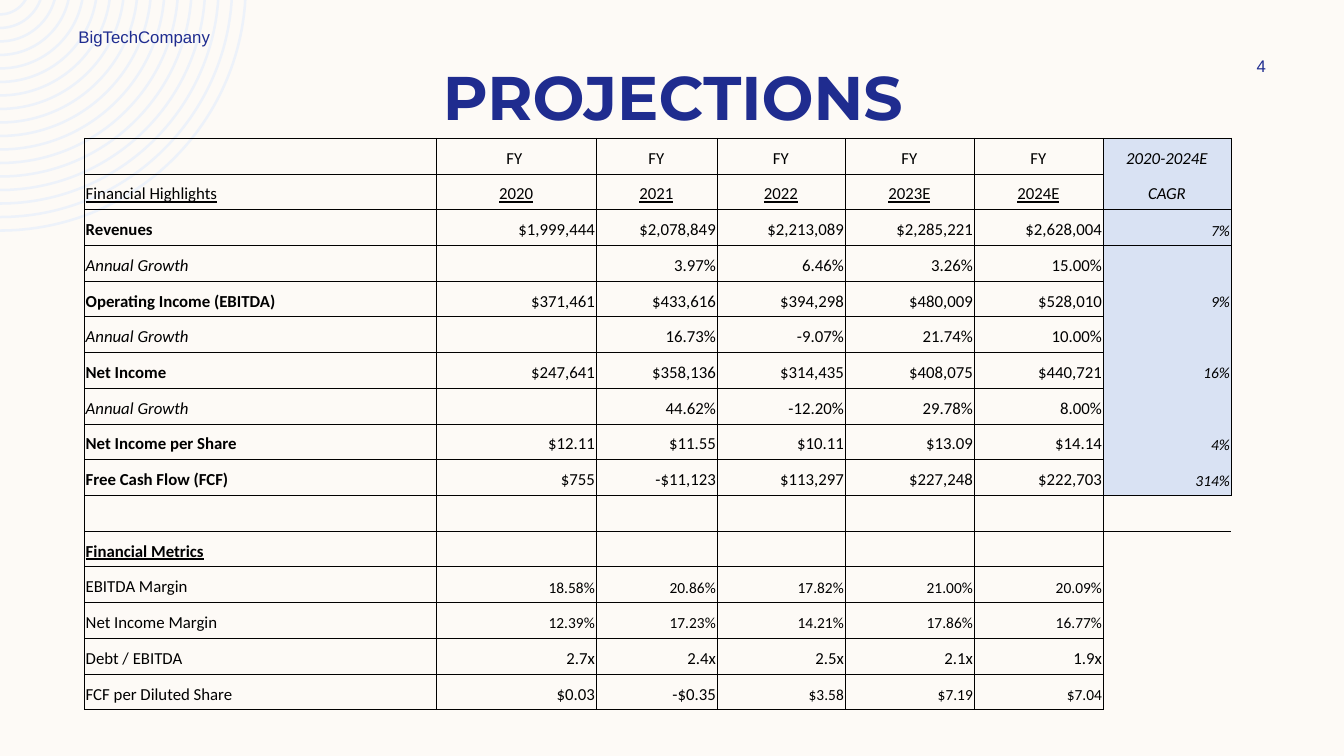
import math
from dataclasses import dataclass

from lxml import etree
from pptx import Presentation
from pptx.dml.color import RGBColor
from pptx.enum.text import MSO_ANCHOR, PP_ALIGN
from pptx.oxml.ns import qn
from pptx.util import Inches, Pt

LEFT, CENTER, RIGHT = PP_ALIGN.LEFT, PP_ALIGN.CENTER, PP_ALIGN.RIGHT
TOP, MIDDLE, BOTTOM = MSO_ANCHOR.TOP, MSO_ANCHOR.MIDDLE, MSO_ANCHOR.BOTTOM

CREAM, RING_BLUE, NAVY = "FDFAF6", "EDF2FA", "1F2C8F"
BLACK, CAGR_BLUE = "000000", "D9E2F3"
NO_STYLE = "{2D5ABB26-0587-4C30-8999-92F81FD0307C}"


@dataclass
class Label:
    text: str
    left: float
    top: float
    width: float
    height: float
    size: float
    font: str = "Arial"
    bold: bool = False
    align: PP_ALIGN = CENTER
    anchor: MSO_ANCHOR = MIDDLE


@dataclass
class Row:
    name: str
    values: tuple = ("",) * 5
    cagr: str = ""
    bold: bool = False
    italic: bool = False
    underline: bool = False
    align: PP_ALIGN = RIGHT
    sizes: tuple = (12,) * 5


LABELS = [
    Label("PROJECTIONS", 0.84, 0.54, 11.67, 0.84, 44, "Montserrat", True, anchor=TOP),
    Label("4", 11.97, 0.5, 1.08, 0.3, 12),
    Label("BigTechCompany", 0.68, 0.22, 3.5, 0.3, 12, align=LEFT),
]

SMALL = (11,) * 5
COLUMN_WIDTHS = [3.49, 1.58, 1.2, 1.27, 1.28, 1.28, 1.27]
TABLE_LEFT, TABLE_TOP, TABLE_HEIGHT = 0.84, 1.37, 5.67
ROWS = [
    Row("", ("FY ", "FY", "FY", "FY", "FY"), "2020-2024E", align=CENTER),
    Row("Financial Highlights", ("2020", "2021", "2022", "2023E", "2024E"), "CAGR",
        underline=True, align=CENTER),
    Row("Revenues", ("$1,999,444", "$2,078,849", "$2,213,089", "$2,285,221", "$2,628,004"),
        "7%", bold=True),
    Row("Annual Growth", ("", "3.97%", "6.46%", "3.26%", "15.00%"), italic=True),
    Row("Operating Income (EBITDA)",
        ("$371,461", "$433,616", "$394,298", "$480,009", "$528,010"), "9%", bold=True),
    Row("Annual Growth", ("", "16.73%", "-9.07%", "21.74%", "10.00%"), italic=True),
    Row("Net Income", ("$247,641", "$358,136", "$314,435", "$408,075", "$440,721"),
        "16%", bold=True),
    Row("Annual Growth", ("", "44.62%", "-12.20%", "29.78%", "8.00%"), italic=True),
    Row("Net Income per Share", ("$12.11", "$11.55", "$10.11", "$13.09", "$14.14"),
        "4%", bold=True),
    Row("Free Cash Flow (FCF)", ("$755", "-$11,123", "$113,297", "$227,248", "$222,703"),
        "314%", bold=True),
    Row(""),
    Row("Financial Metrics", bold=True, underline=True),
    Row("EBITDA Margin", ("18.58%", "20.86%", "17.82%", "21.00%", "20.09%"), sizes=SMALL),
    Row("Net Income Margin", ("12.39%", "17.23%", "14.21%", "17.86%", "16.77%"), sizes=SMALL),
    Row("Debt / EBITDA", ("2.7x", "2.4x", "2.5x", "2.1x", "1.9x")),
    Row("FCF per Diluted Share", ("$0.03", "-$0.35", "$3.58", "$7.19", "$7.04"),
        sizes=(12, 12, 11, 11, 11)),
]
HEADER_END, CAGR_END = 1, 9  # last rows of the two CAGR boxes


def paint(target, color: str) -> None:
    target.solid()
    target.fore_color.rgb = RGBColor.from_string(color)


def style_run(run, font: str, size: float, color: str, bold=False, italic=False,
              underline=False) -> None:
    run.font.name, run.font.size = font, Pt(size)
    run.font.bold, run.font.italic, run.font.underline = bold, italic, underline
    run.font.color.rgb = RGBColor.from_string(color)


def add_label(slide, label: Label) -> None:
    box = slide.shapes.add_textbox(Inches(label.left), Inches(label.top),
                                   Inches(label.width), Inches(label.height))
    frame = box.text_frame
    frame.word_wrap = True
    frame.vertical_anchor = label.anchor
    frame.text = label.text
    paragraph = frame.paragraphs[0]
    paragraph.alignment = label.align
    style_run(paragraph.runs[0], label.font, label.size, NAVY, label.bold)


def arc(radius: float, center_y: float) -> list:
    """Bezier points from the top edge of the slide round to its left edge."""
    start = math.asin(-center_y / radius)
    pull = radius * 4 / 3 * math.tan((math.pi / 2 - start) / 4)
    x, y = radius * math.cos(start), 0
    bottom = center_y + radius
    points = [(x, y), (x - pull * math.sin(start), y + pull * math.cos(start)),
              (pull, bottom), (0, bottom)]
    return [(Inches(px), Inches(py)) for px, py in points]


def bend(segment, points: list) -> None:
    """Turn a straight segment into a curve through two control points to its end."""
    segment.tag = qn("a:cubicBezTo")
    segment.remove(segment[0])
    for x, y in points:
        etree.SubElement(segment, qn("a:pt"), x=str(x), y=str(y))


def add_rings(slide, count=17, center_y=-0.15, outer=2.45, gap=0.134, width=0.025) -> None:
    curves = []
    for ring in range(count):
        radius = outer - ring * gap
        curves += [arc(radius, center_y), arc(radius - width, center_y)[::-1]]
    builder = slide.shapes.build_freeform(*curves[0][0])
    for outside, inside in zip(curves[::2], curves[1::2]):
        builder.move_to(*outside[0])
        builder.add_line_segments([outside[-1], inside[0], inside[-1]], close=True)
    rings = builder.convert_to_shape()
    segments = list(rings._element.iter(qn("a:lnTo")))
    arcs = [segment for i, segment in enumerate(segments) if i % 3 != 1]
    for segment, curve in zip(arcs, curves):
        bend(segment, curve[1:])
    rings.shadow.inherit = False
    paint(rings.fill, RING_BLUE)
    rings.line.fill.background()


def border_sides(row: int, is_cagr: bool) -> str:
    if not is_cagr:
        return "LRTB"
    sides = "L" if row > CAGR_END else "LR"
    if row in (0, HEADER_END + 1, CAGR_END + 1):
        sides += "T"
    if row in (HEADER_END, CAGR_END):
        sides += "B"
    return sides


def set_borders(cell, sides: str) -> None:
    properties = cell._tc.get_or_add_tcPr()
    for side in sides:
        line = etree.SubElement(properties, qn(f"a:ln{side}"), w=str(Pt(0.5)))
        fill = etree.SubElement(line, qn("a:solidFill"))
        etree.SubElement(fill, qn("a:srgbClr"), val=BLACK)


def fill_cell(cell, text: str, align: PP_ALIGN, size: float, **emphasis: bool) -> None:
    cell.margin_left = cell.margin_right = cell.margin_top = Inches(0.01)
    cell.margin_bottom = Inches(0.05)
    cell.vertical_anchor = BOTTOM
    paragraph = cell.text_frame.paragraphs[0]
    paragraph.alignment = align
    if text:
        paragraph.text = text
        style_run(paragraph.runs[0], "Calibri", size, BLACK, **emphasis)
    else:  # keeps empty rows from growing
        etree.SubElement(paragraph._p, qn("a:endParaRPr"), sz=str(size * 100))


def add_projections(slide) -> None:
    table = slide.shapes.add_table(
        len(ROWS), len(COLUMN_WIDTHS), Inches(TABLE_LEFT), Inches(TABLE_TOP),
        Inches(sum(COLUMN_WIDTHS)), Inches(TABLE_HEIGHT)).table
    table.first_row = table.horz_banding = False
    table._tbl.tblPr.find(qn("a:tableStyleId")).text = NO_STYLE
    for column, width in zip(table.columns, COLUMN_WIDTHS):
        column.width = Inches(width)

    last = len(COLUMN_WIDTHS) - 1
    for r, row in enumerate(ROWS):
        table.rows[r].height = Inches(TABLE_HEIGHT / len(ROWS))
        fill_cell(table.cell(r, 0), row.name, LEFT, 12, bold=row.bold,
                  italic=row.italic, underline=row.underline)
        for c, (value, size) in enumerate(zip(row.values, row.sizes), start=1):
            fill_cell(table.cell(r, c), value, row.align, size, underline=row.underline)
        fill_cell(table.cell(r, last), row.cagr, row.align,
                  12 if r <= HEADER_END else 11, italic=True)
        for c in range(last + 1):
            cell = table.cell(r, c)
            set_borders(cell, border_sides(r, c == last))
            if c == last and r <= CAGR_END:
                paint(cell.fill, CAGR_BLUE)
            else:
                cell.fill.background()


def main() -> None:
    deck = Presentation()
    deck.slide_width, deck.slide_height = Inches(13.33), Inches(7.5)
    slide = deck.slides.add_slide(deck.slide_layouts[6])
    paint(slide.background.fill, CREAM)
    add_rings(slide)
    for label in LABELS:
        add_label(slide, label)
    add_projections(slide)
    deck.save("out.pptx")


if __name__ == "__main__":
    main()
